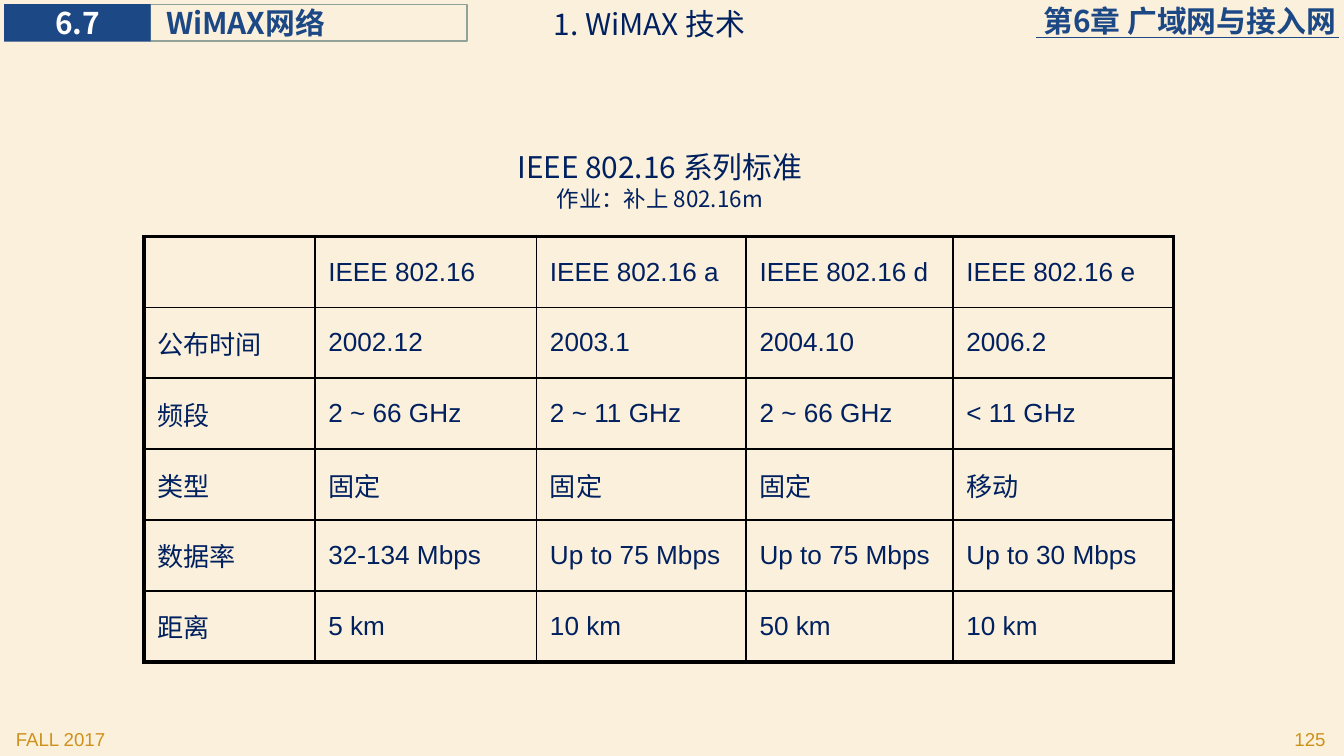
import pptx
import pptx.util
import pptx.dml.color
import pptx.enum.shapes
import pptx.enum.text
import pptx.oxml
import pptx.oxml.ns
from pptx.util import Cm

CHINESE_FONT = "Noto Sans CJK SC"
LATIN_FONT = "Arial"
NAVY, BLUE, GOLD, BLACK = "002060", "1C4885", "CD921B", "000000"
ALIGN = pptx.enum.text.PP_ALIGN
ANCHOR = pptx.enum.text.MSO_ANCHOR

HEADING = {"size": 16, "name": CHINESE_FONT, "color": NAVY}
SUBHEADING = {**HEADING, "size": 12}
CHAPTER = {**HEADING, "color": BLUE, "bold": True}
SECTION_NUMBER = {**CHAPTER, "color": "FFFFFF"}
FOOTER = {"size": 10, "name": LATIN_FONT, "color": GOLD}

COLUMN_WIDTHS = [3.23, 4.19, 3.96, 3.91, 4.17]
ROW_HEIGHT = 1.34
STANDARDS = [
    ["", "IEEE 802.16", "IEEE 802.16 a", "IEEE 802.16 d", "IEEE 802.16 e"],
    ["公布时间", "2002.12", "2003.1", "2004.10", "2006.2"],
    ["频段", "2 ~ 66 GHz", "2 ~ 11 GHz", "2 ~ 66 GHz", "< 11 GHz"],
    ["类型", "固定", "固定", "固定", "移动"],
    ["数据率", "32-134 Mbps", "Up to 75 Mbps", "Up to 75 Mbps", "Up to 30 Mbps"],
    ["距离", "5 km", "10 km", "50 km", "10 km"],
]


def rgb(color):
    return pptx.dml.color.RGBColor.from_string(color)


def add_run(paragraph, text, style):
    """Add a run whose font is used for Latin and Chinese letters alike."""
    run = paragraph.add_run()
    run.text = text
    values = dict(style)
    run.font.color.rgb = rgb(values.pop("color"))
    values["size"] = pptx.util.Pt(values["size"])
    for attribute, value in values.items():
        setattr(run.font, attribute, value)
    east_asian = pptx.oxml.parse_xml(
        f'<a:ea {pptx.oxml.ns.nsdecls("a")} typeface="{style["name"]}"/>')
    run.font._element.append(east_asian)


def write_text(shape, lines, align=ALIGN.LEFT, **frame_format):
    """Write (text, style) lines, with margins and anchor given in frame_format."""
    frame = shape.text_frame
    frame.word_wrap = True
    for attribute, value in frame_format.items():
        setattr(frame, attribute, value)
    for index, (text, style) in enumerate(lines):
        paragraph = frame.add_paragraph() if index else frame.paragraphs[0]
        paragraph.alignment = align
        add_run(paragraph, text, style)


def add_text(slide, box, lines, align=ALIGN.LEFT, **frame_format):
    shape = slide.shapes.add_textbox(*map(Cm, box))
    write_text(shape, lines, align, **frame_format)


def add_rectangle(slide, box, fill=None, line=None):
    shape = slide.shapes.add_shape(
        pptx.enum.shapes.MSO_SHAPE.RECTANGLE, *map(Cm, box))
    shape.shadow.inherit = False
    if fill:
        shape.fill.solid()
        shape.fill.fore_color.rgb = rgb(fill)
    else:
        shape.fill.background()
    if line:
        shape.line.color.rgb = rgb(line)
        shape.line.width = pptx.util.Pt(0.75)
    else:
        shape.line.fill.background()
    return shape


def add_rule(slide, left, right, top):
    rule = slide.shapes.add_connector(
        pptx.enum.shapes.MSO_CONNECTOR.STRAIGHT,
        Cm(left), Cm(top), Cm(right), Cm(top))
    rule.line.color.rgb = rgb(BLUE)
    rule.line.width = pptx.util.Pt(0.5)
    rule._element.spPr.append(pptx.oxml.parse_xml(
        f'<a:effectLst {pptx.oxml.ns.nsdecls("a")}/>'))


def set_borders(cell, outer_sides):
    """Draw thick lines on the outer sides of the table and thin ones elsewhere."""
    properties = cell._tc.get_or_add_tcPr()
    for index, side in enumerate("LRTB"):
        width = pptx.util.Pt(2.25 if side in outer_sides else 1)
        properties.insert(index, pptx.oxml.parse_xml(
            f'<a:ln{side} {pptx.oxml.ns.nsdecls("a")} w="{int(width)}">'
            f'<a:solidFill><a:srgbClr val="{BLACK}"/></a:solidFill></a:ln{side}>'))


def add_standards_table(slide, left, top):
    row_count, column_count = len(STANDARDS), len(COLUMN_WIDTHS)
    table = slide.shapes.add_table(
        row_count, column_count, Cm(left), Cm(top),
        Cm(sum(COLUMN_WIDTHS)), Cm(ROW_HEIGHT * row_count)).table
    table.first_row = table.horz_banding = False
    for column, width in zip(table.columns, COLUMN_WIDTHS):
        column.width = Cm(width)
    for row_index, texts in enumerate(STANDARDS):
        table.rows[row_index].height = Cm(ROW_HEIGHT)
        for column_index, text in enumerate(texts):
            cell = table.cell(row_index, column_index)
            cell.fill.background()
            cell.vertical_anchor = ANCHOR.MIDDLE
            edges = {"L": column_index == 0, "R": column_index == column_count - 1,
                     "T": row_index == 0, "B": row_index == row_count - 1}
            set_borders(cell, [side for side, outer in edges.items() if outer])
            if text:
                font = LATIN_FONT if text.isascii() else CHINESE_FONT
                add_run(cell.text_frame.paragraphs[0], text,
                        {"size": 14, "name": font, "color": NAVY})


def add_header(slide):
    flush = {"margin_left": 0, "margin_right": 0, "margin_top": 0,
             "margin_bottom": 0, "vertical_anchor": ANCHOR.MIDDLE}
    add_text(slide, (15.7, 0.05, 9.55, 0.69),
             [("第6章 广域网与接入网", CHAPTER)], ALIGN.RIGHT, **flush)
    add_rule(slide, 19.58, 25.3, 0.71)
    section = add_rectangle(slide, (2.84, 0.09, 5.99, 0.69), line="93A299")
    write_text(section, [("WiMAX网络", CHAPTER)],
               **{**flush, "margin_left": Cm(0.3)})
    number = add_rectangle(slide, (0.08, 0.08, 2.77, 0.71), fill=BLUE)
    write_text(number, [("6.7", SECTION_NUMBER)], ALIGN.CENTER, **flush)


def set_title(slide, box, text):
    title = slide.shapes.title
    title.left, title.top, title.width, title.height = map(Cm, box)
    write_text(title, [(text, HEADING)], vertical_anchor=ANCHOR.MIDDLE,
               auto_size=pptx.enum.text.MSO_AUTO_SIZE.NONE)


def main():
    presentation = pptx.Presentation()
    presentation.slide_width, presentation.slide_height = Cm(25.4), Cm(14.29)
    slide = presentation.slides.add_slide(presentation.slide_layouts[5])
    slide.background.fill.solid()
    slide.background.fill.fore_color.rgb = rgb("FAF0DB")

    add_header(slide)
    set_title(slide, (10.21, -0.03, 8.59, 0.94), "1. WiMAX 技术")
    add_text(slide, (4.7, 2.79, 15.54, 2.13),
             [("IEEE 802.16 系列标准", HEADING), ("作业：补上 802.16m", SUBHEADING)],
             ALIGN.CENTER, margin_top=Cm(0.03))
    add_standards_table(slide, 2.72, 4.47)
    add_text(slide, (0.05, 13.64, 5.28, 0.58), [("FALL 2017", FOOTER)])
    add_text(slide, (20.02, 13.64, 5.28, 0.58), [("125", FOOTER)], ALIGN.RIGHT)

    presentation.save("out.pptx")


if __name__ == "__main__":
    main()
